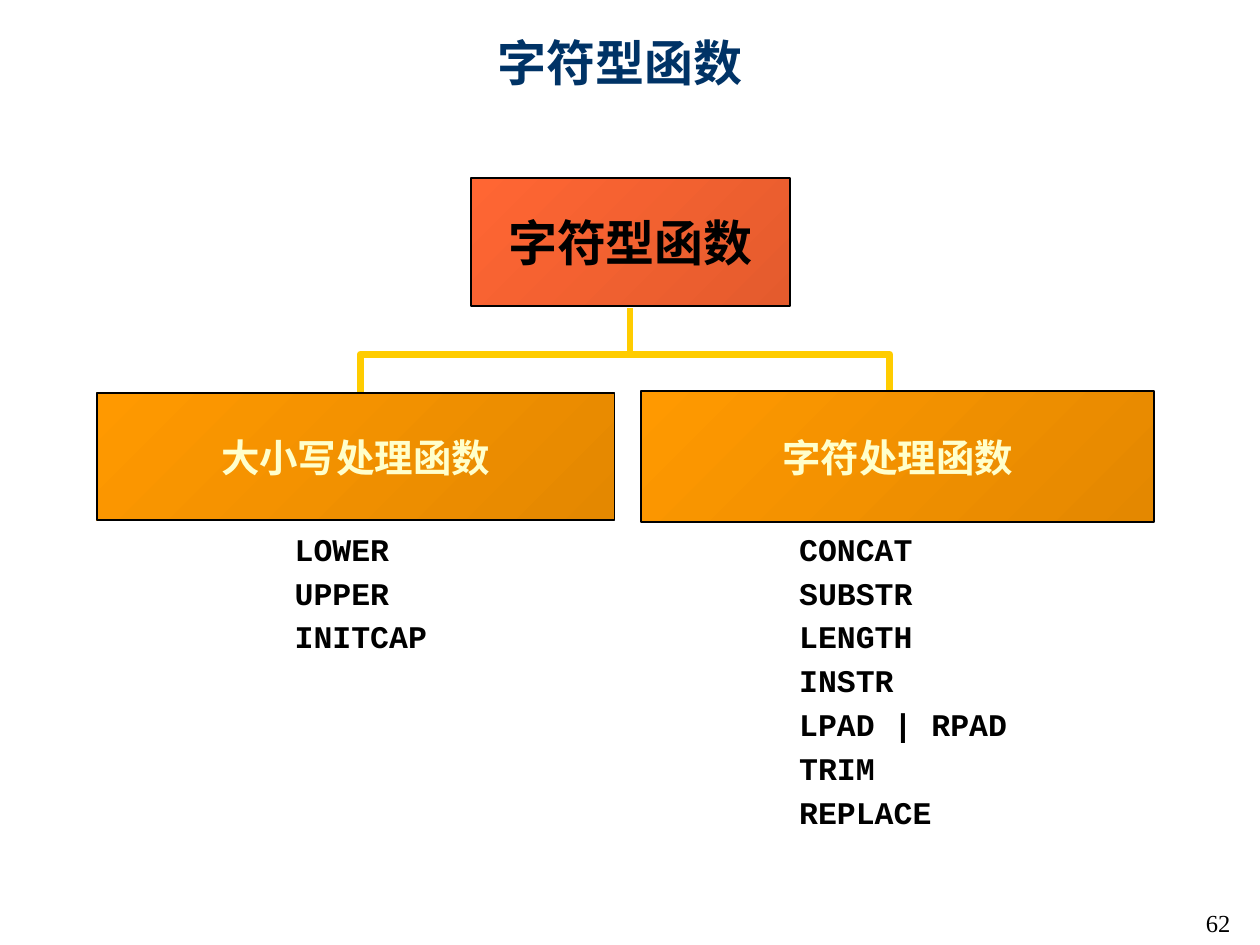
from lxml.etree import SubElement
from pptx import Presentation
from pptx.dml.color import RGBColor
from pptx.enum.shapes import MSO_CONNECTOR, MSO_SHAPE
from pptx.enum.text import MSO_ANCHOR, MSO_AUTO_SIZE, PP_ALIGN
from pptx.oxml import parse_xml
from pptx.oxml.ns import nsdecls, qn
from pptx.util import Cm, Pt

NAVY = RGBColor(0x00, 0x33, 0x66)
BLACK = RGBColor(0x00, 0x00, 0x00)
CREAM = RGBColor(0xFF, 0xFF, 0xCC)
YELLOW = RGBColor(0xFF, 0xCC, 0x00)
RED = RGBColor(0xFF, 0x66, 0x33)
DARK_RED = RGBColor(0xE4, 0x5B, 0x2D)
ORANGE = RGBColor(0xFF, 0x99, 0x00)
DARK_ORANGE = RGBColor(0xE4, 0x88, 0x00)

TEXT_SHADOW = (
    f'<a:effectLst {nsdecls("a")}><a:outerShdw dist="25400" dir="2700000">'
    '<a:srgbClr val="C0C0C0"/></a:outerShdw></a:effectLst>'
)


class Deck:
    heading_font = "Arial"
    code_font = "Courier New"
    number_font = "Times New Roman"

    def __init__(self, prs):
        self.s = prs.slides.add_slide(prs.slide_layouts[5])

    def style(self, p, font, size, color, bold=True):
        p.font.name = font
        p.font.size = Pt(size)
        p.font.bold = bold
        p.font.color.rgb = color

    def title(self, text, x, y, w, h):
        sp = self.s.shapes.title
        sp.left, sp.top, sp.width, sp.height = Cm(x), Cm(y), Cm(w), Cm(h)
        tf = sp.text_frame
        tf.auto_size = MSO_AUTO_SIZE.NONE
        tf.vertical_anchor = MSO_ANCHOR.TOP
        p = tf.paragraphs[0]
        p.alignment = PP_ALIGN.CENTER
        r = p.add_run()
        r.text = text
        self.style(r, self.heading_font, 28, NAVY)
        fill = r.font._element.find(qn("a:solidFill"))
        fill.addnext(parse_xml(TEXT_SHADOW))

    def box(self, text, x, y, w, h, dark, light, size, color):
        sp = self.s.shapes.add_shape(MSO_SHAPE.RECTANGLE, Cm(x), Cm(y), Cm(w), Cm(h))
        sp.shadow.inherit = False
        sp.fill.gradient()
        sp.fill.gradient_angle = 135
        for stop, rgb in zip(sp.fill.gradient_stops, (dark, light)):
            stop.color.rgb = rgb
        sp.line.color.rgb = BLACK
        sp.line.width = Pt(1)
        tf = sp.text_frame
        tf.word_wrap = False
        tf.vertical_anchor = MSO_ANCHOR.MIDDLE
        p = tf.paragraphs[0]
        p.text = text
        p.alignment = PP_ALIGN.CENTER
        self.style(p, self.heading_font, size, color)

    def names(self, lines, x, y, w, h):
        tf = self.s.shapes.add_textbox(Cm(x), Cm(y), Cm(w), Cm(h)).text_frame
        tf.word_wrap = True
        for i, line in enumerate(lines):
            p = tf.add_paragraph() if i else tf.paragraphs[0]
            p.text = line
            p.line_spacing = 0.9
            p.space_before = Pt(5.65)
            self.style(p, self.code_font, 18, BLACK)

    def number(self, text, x, y, w, h):
        tf = self.s.shapes.add_textbox(Cm(x), Cm(y), Cm(w), Cm(h)).text_frame
        tf.margin_left = tf.margin_top = tf.margin_right = tf.margin_bottom = 0
        tf.word_wrap = True
        p = tf.paragraphs[0]
        p.text = text
        self.style(p, self.number_font, 14, BLACK, bold=False)

    def line(self, x1, y1, x2, y2):
        cx = self.s.shapes.add_connector(
            MSO_CONNECTOR.STRAIGHT, Cm(x1), Cm(y1), Cm(x2), Cm(y2))
        cx.line.color.rgb = YELLOW
        cx.line.width = Pt(4)
        SubElement(cx._element.spPr, qn("a:effectLst"))

    def bracket(self, points):
        start, *rest = [(Cm(x), Cm(y)) for x, y in points]
        fb = self.s.shapes.build_freeform(*start)
        fb.add_line_segments(rest, close=False)
        sp = fb.convert_to_shape()
        sp.shadow.inherit = False
        sp.fill.background()
        sp.line.color.rgb = YELLOW
        sp.line.width = Pt(4)


def main():
    prs = Presentation()
    prs.slide_width, prs.slide_height = Cm(25.4), Cm(19.05)
    deck = Deck(prs)
    deck.number("62", 24.31, 18.31, 0.84, 0.58)
    deck.title("字符型函数", 1.7, 0.53, 21.59, 1.47)
    deck.box("字符型函数", 9.5, 3.59, 6.42, 2.58, DARK_RED, RED, 28, BLACK)
    deck.names(["LOWER", "UPPER", "INITCAP"], 5.69, 10.64, 3.18, 2.64)
    deck.names(
        ["CONCAT", "SUBSTR", "LENGTH", "INSTR", "LPAD | RPAD", "TRIM", "REPLACE"],
        15.86, 10.64, 4.78, 6.02)
    deck.line(12.7, 7.09, 12.7, 6.2)
    deck.bracket([(7.26, 8.53), (7.26, 7.14), (17.94, 7.14), (17.94, 8.64)])
    for text, x, y, w, h in (
        ("大小写处理函数", 1.95, 7.92, 10.44, 2.57),
        ("字符处理函数", 12.93, 7.89, 10.34, 2.64),
    ):
        deck.box(text, x, y, w, h, DARK_ORANGE, ORANGE, 22, CREAM)
    prs.save("out.pptx")


if __name__ == "__main__":
    main()
